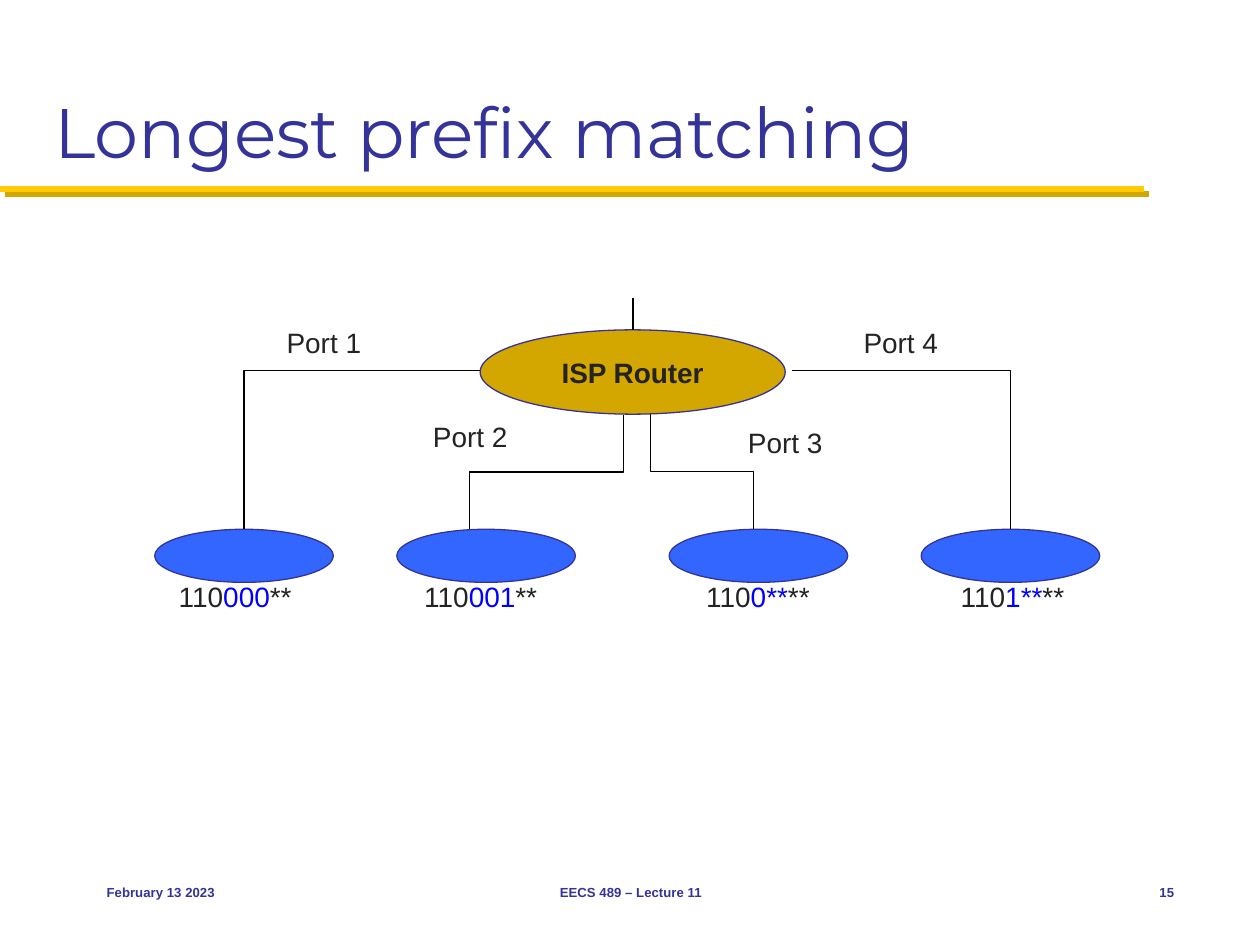
from lxml import etree
from pptx import Presentation
from pptx.dml.color import RGBColor
from pptx.enum import shapes, text
from pptx.oxml import ns
from pptx.util import Cm, Pt

COLORS = {
    "navy": "333399", "gold": "FFCB05", "ochre": "D3A600", "node": "3366FF",
    "ink": "232323", "prefix": "0000FF", "wire": "000000",
}
ALIGN = text.PP_ALIGN
NETWORK_TOP, NETWORK_WIDTH, NETWORK_HEIGHT = 10.67, 3.6, 1.07
NETWORKS = [
    (3.12, 2.54, ("110", "000", "**")),
    (8.0, 7.49, ("110", "001", "**")),
    (13.49, 13.08, ("110", "0**", "**")),
    (18.57, 18.21, ("110", "1**", "**")),
]
PORTS = [(5.36, 6.43), (8.31, 8.33), (14.66, 8.46), (16.99, 6.43)]
FOOTERS = [
    (1.9, 5.28, "February 13 2023", ALIGN.LEFT),
    (8.69, 8.05, "EECS 489 – Lecture 11", ALIGN.CENTER),
    (22.22, 1.7, "15", ALIGN.RIGHT),
]


def color(name):
    """Return the named colour."""
    return RGBColor.from_string(COLORS[name])


def write_runs(shape, runs, size, font="Arial", align=ALIGN.CENTER, bold=False):
    """Write (text, colour name) runs into the first paragraph of a shape."""
    paragraph = shape.text_frame.paragraphs[0]
    paragraph.alignment = align
    for words, color_name in runs:
        run = paragraph.add_run()
        run.text = words
        run.font.name, run.font.size, run.font.bold = font, Pt(size), bold
        run.font.color.rgb = color(color_name)


def add_label(slide, box, runs, size=16, anchor=text.MSO_ANCHOR.TOP, **style):
    """Add a text box with one line of runs."""
    label = slide.shapes.add_textbox(*map(Cm, box))
    label.text_frame.word_wrap = True
    label.text_frame.vertical_anchor = anchor
    write_runs(label, runs, size, **style)


def add_ellipse(slide, box, fill):
    """Add a filled ellipse with a thin navy outline."""
    ellipse = slide.shapes.add_shape(shapes.MSO_SHAPE.OVAL, *map(Cm, box))
    ellipse.shadow.inherit = False
    ellipse.fill.solid()
    ellipse.fill.fore_color.rgb = color(fill)
    ellipse.line.color.rgb = color("navy")
    ellipse.line.width = Pt(0.75)
    return ellipse


def add_line(slide, start, end, kind=shapes.MSO_CONNECTOR.STRAIGHT,
             color_name="wire", width=0.75):
    """Add a connector and return it with its empty effect list."""
    line = slide.shapes.add_connector(kind, *map(Cm, (*start, *end)))
    line.line.color.rgb = color(color_name)
    line.line.width = Pt(width)
    effects = etree.SubElement(line._element.spPr, ns.qn("a:effectLst"))
    return line, effects


def add_corner(slide, start, end):
    """Add a wire that runs sideways and then down."""
    line, _ = add_line(slide, start, end, shapes.MSO_CONNECTOR.ELBOW)
    geometry = line._element.spPr.find(ns.qn("a:prstGeom"))
    geometry.set("prst", "bentConnector2")


def add_step(slide, start, end):
    """Add a wire that runs down, sideways and down again."""
    (x1, y1), (x2, y2) = start, end
    middle_x, middle_y = (x1 + x2) / 2, (y1 + y2) / 2
    half_width, half_height = (y2 - y1) / 2, abs(x2 - x1) / 2
    side = 1 if x2 < x1 else -1
    line, _ = add_line(
        slide,
        (middle_x - side * half_width, middle_y - half_height),
        (middle_x + side * half_width, middle_y + half_height),
        shapes.MSO_CONNECTOR.ELBOW)
    rotation = 90 if side == 1 else 270
    line._element.spPr.find(ns.qn("a:xfrm")).set("rot", str(rotation * 60000))


def add_title(slide):
    """Place the title and its shadowed rule."""
    _, effects = add_line(slide, (0, 3.81), (23.06, 3.81),
                          color_name="gold", width=3.5)
    shadow = etree.SubElement(effects, ns.qn("a:outerShdw"), dist=str(Pt(4.2)),
                              dir=str(45 * 60000), algn="ctr", rotWithShape="0")
    etree.SubElement(shadow, ns.qn("a:srgbClr"), val=COLORS["ochre"])
    title = slide.shapes.title
    title.left, title.top, title.width, title.height = map(
        Cm, (0.84, 0.43, 23.7, 3.18))
    title.text_frame.auto_size = text.MSO_AUTO_SIZE.NONE
    title.text_frame.vertical_anchor = text.MSO_ANCHOR.BOTTOM
    write_runs(title, [("Longest prefix matching", "navy")], 40,
               "Montserrat", ALIGN.LEFT)


def add_footers(slide):
    """Add the date, course and page number."""
    for left, width, words, align in FOOTERS:
        add_label(slide, (left, 17.35, width, 1.27), [(words, "navy")], 7.5,
                  text.MSO_ANCHOR.MIDDLE, align=align, bold=True)


def add_networks(slide):
    """Add the four networks with their address prefixes."""
    for left, label_left, parts in NETWORKS:
        add_ellipse(slide, (left, NETWORK_TOP, NETWORK_WIDTH, NETWORK_HEIGHT),
                    "node")
        add_label(slide, (label_left, 11.56, 4.4, 0.94),
                  list(zip(parts, ("ink", "prefix", "ink"))))


def add_router(slide):
    """Add the router, its wires and its port names."""
    add_corner(slide, (9.83, 7.47), (4.92, NETWORK_TOP))
    add_step(slide, (12.57, 8.36), (9.47, NETWORK_TOP))
    add_corner(slide, (15.96, 7.47), (20.37, NETWORK_TOP))
    add_step(slide, (13.11, 8.33), (15.19, NETWORK_TOP))
    router = add_ellipse(slide, (9.68, 6.65, 6.15, 1.7), "ochre")
    router.text_frame.word_wrap = False
    router.text_frame.vertical_anchor = text.MSO_ANCHOR.MIDDLE
    write_runs(router, [("ISP Router", "ink")], 16, bold=True)
    add_line(slide, (12.76, 6.01), (12.76, 6.65))
    for number, (left, top) in enumerate(PORTS, 1):
        add_label(slide, (left, top, 2.34, 0.94), [(f"Port {number}", "ink")])


def main():
    """Build and save the slide."""
    presentation = Presentation()
    presentation.slide_width, presentation.slide_height = Cm(25.4), Cm(19.05)
    slide = presentation.slides.add_slide(presentation.slide_layouts[5])
    add_title(slide)
    add_footers(slide)
    add_networks(slide)
    add_router(slide)
    presentation.save("out.pptx")


if __name__ == "__main__":
    main()
